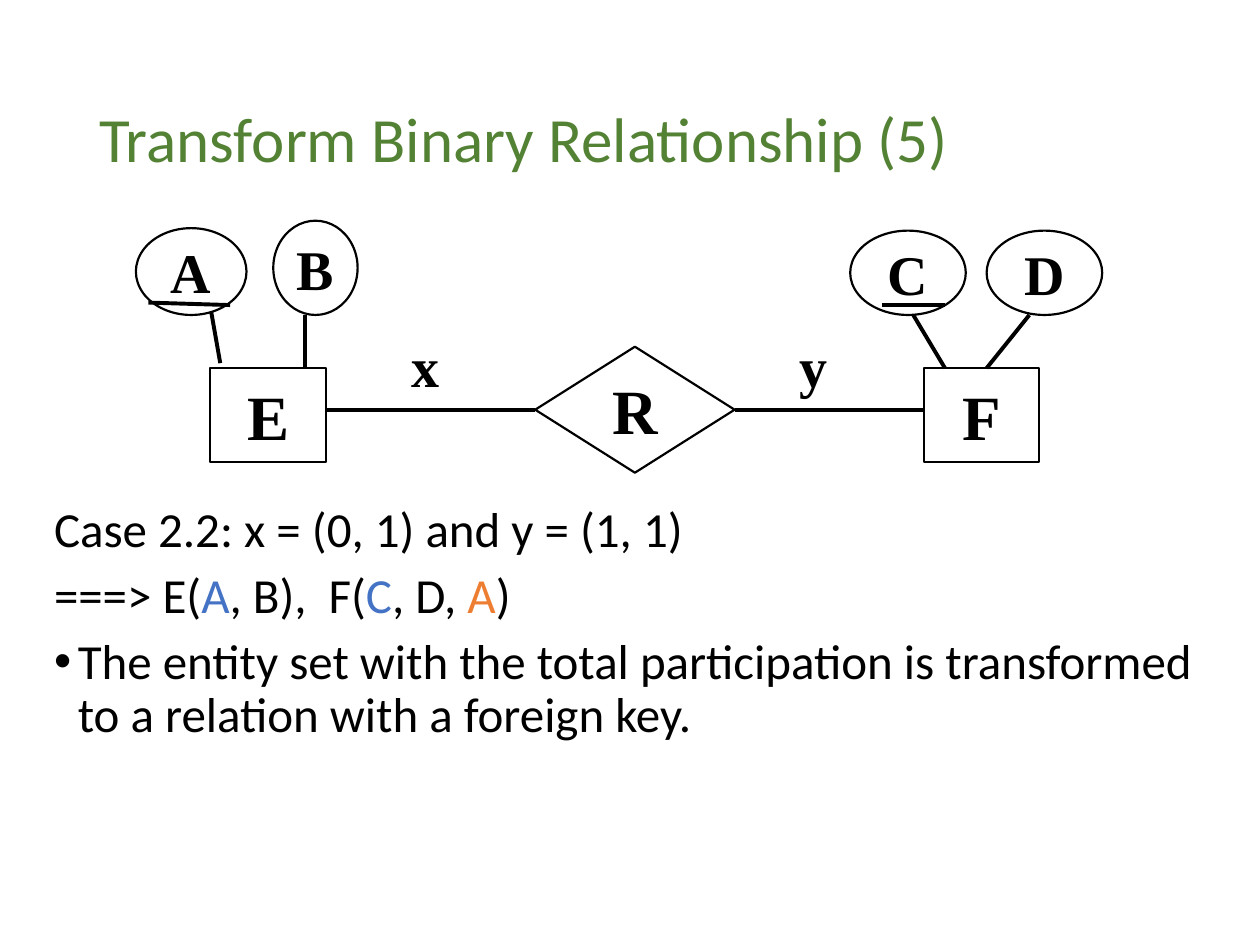
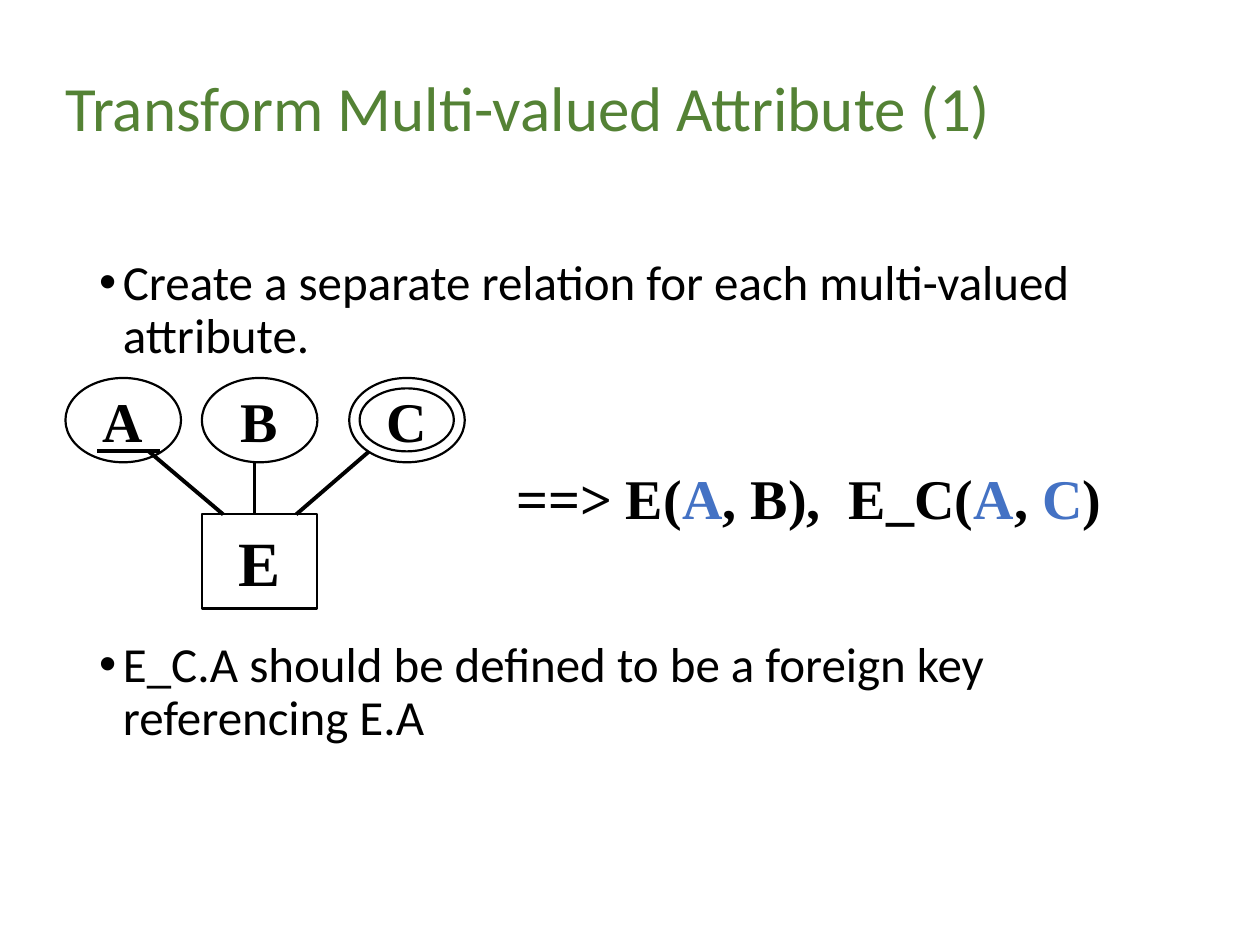
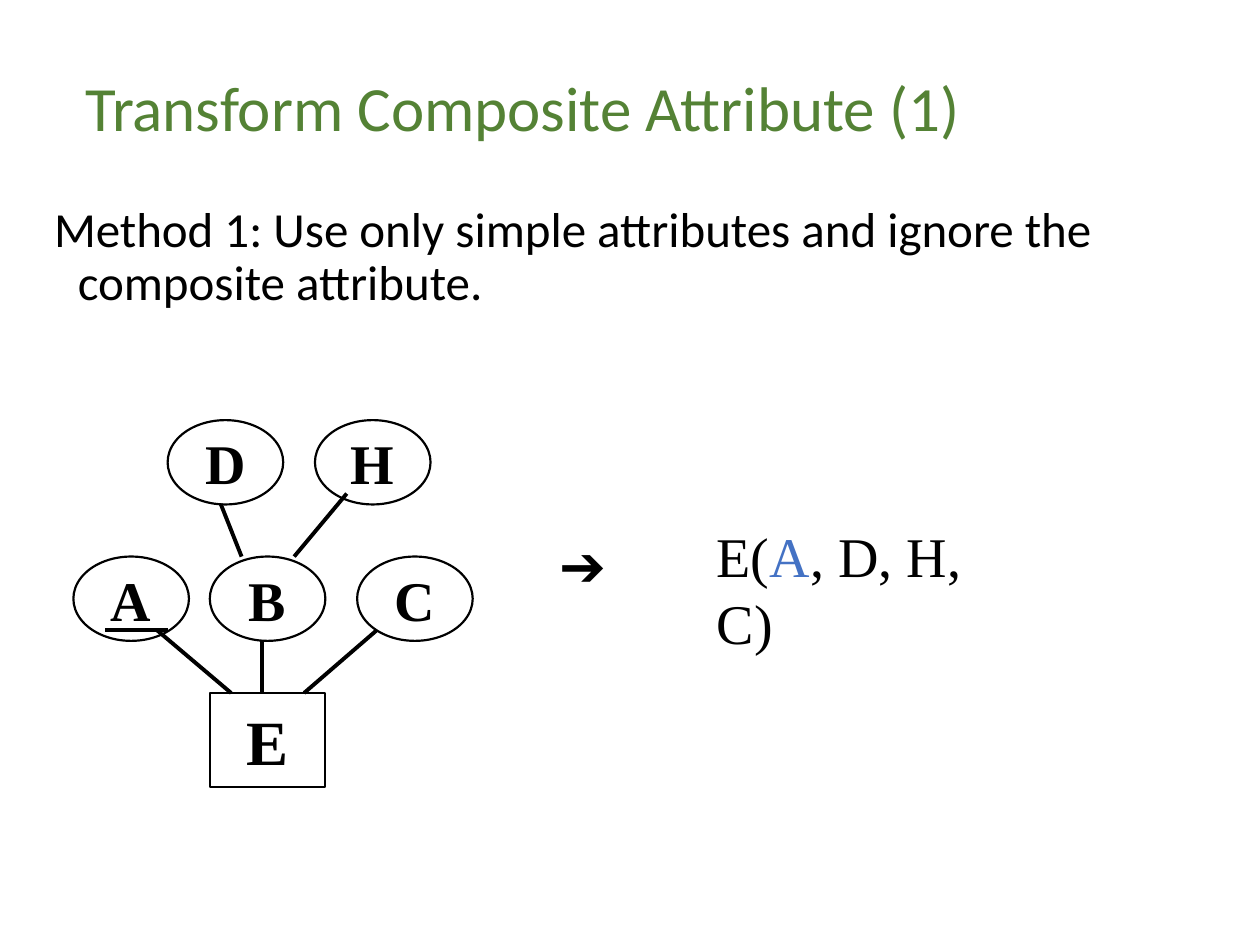
from lxml.etree import SubElement
from pptx import Presentation
from pptx.dml.color import RGBColor
from pptx.enum.shapes import MSO_CONNECTOR, MSO_SHAPE
from pptx.enum.text import MSO_ANCHOR, PP_ALIGN
from pptx.oxml.ns import qn
from pptx.util import Cm, Pt

COLOURS = {"title": "548235", "ink": "000000", "key": "4472C4", "foreign": "ED7D31"}

# Shared text formats
TITLE = {"name": "Calibri", "size": Pt(36), "bold": False}
BODY = {"name": "Calibri", "size": Pt(28), "bold": False}
ATTRIBUTE = {"name": "Times New Roman", "size": Pt(32), "bold": True}
ENTITY = {**ATTRIBUTE, "size": Pt(36)}
RELATION = {**ATTRIBUTE, "bold": False}
ARROW = {"name": "Arial", "size": Pt(32), "bold": False}

# Shared sizes in cm
OVAL = (2.33, 1.7)
ENTITY_BOX = (2.33, 1.9)
HANG = 0.48


def colour(name):
    return RGBColor.from_string(COLOURS[name])


def write(paragraph, parts, style, ink="ink"):
    """Write a string, or a list of strings and (text, colour) pairs."""
    for part in [parts] if isinstance(parts, str) else parts:
        text, tint = (part, ink) if isinstance(part, str) else part
        run = paragraph.add_run()
        run.text = text
        for attribute, value in style.items():
            setattr(run.font, attribute, value)
        run.font.color.rgb = colour(tint)


def text_frame(slide, box, anchor=MSO_ANCHOR.TOP):
    frame = slide.shapes.add_textbox(*map(Cm, box)).text_frame
    frame.word_wrap = True
    frame.vertical_anchor = anchor
    return frame


def add_title(slide, box, title):
    paragraph = text_frame(slide, box, MSO_ANCHOR.MIDDLE).paragraphs[0]
    paragraph.line_spacing = 0.9
    write(paragraph, title, TITLE, "title")


def add_label(slide, box, parts, style):
    write(text_frame(slide, box).paragraphs[0], parts, style)


def add_body(slide, box, statements):
    """Place (parts, bulleted) statements with a hanging indent."""
    frame = text_frame(slide, box)
    for number, (parts, bulleted) in enumerate(statements):
        paragraph = frame.add_paragraph() if number else frame.paragraphs[0]
        paragraph.line_spacing = 0.9
        paragraph.space_before = Pt(7.5)
        properties = paragraph._p.get_or_add_pPr()
        properties.set("marL", str(Cm(HANG)))
        properties.set("indent", str(-Cm(HANG)))
        if bulleted:
            SubElement(properties, qn("a:buFont"), typeface="Arial")
            SubElement(properties, qn("a:buChar"), char="•")
        write(paragraph, parts, BODY)


def add_node(slide, origin, kind, offset, size, name="", style=ATTRIBUTE):
    """Draw an outlined part of the ER diagram with its name centred."""
    left, top = origin[0] + offset[0], origin[1] + offset[1]
    node = slide.shapes.add_shape(kind, *map(Cm, (left, top, *size)))
    node.shadow.inherit = False
    node.fill.background()
    node.line.color.rgb = colour("ink")
    node.line.width = Pt(1.25)
    frame = node.text_frame
    settings = {"word_wrap": False, "vertical_anchor": MSO_ANCHOR.MIDDLE, "margin_left": 0,
                "margin_right": 0, "margin_top": 0, "margin_bottom": 0}
    for attribute, value in settings.items():
        setattr(frame, attribute, value)
    if name:
        frame.paragraphs[0].alignment = PP_ALIGN.CENTER
        write(frame.paragraphs[0], name, style)


def add_links(slide, origin, links):
    """Draw straight lines given as x1, y1, x2, y2 from the origin."""
    for x1, y1, x2, y2 in links:
        ends = (origin[0] + x1, origin[1] + y1, origin[0] + x2, origin[1] + y2)
        link = slide.shapes.add_connector(MSO_CONNECTOR.STRAIGHT, *map(Cm, ends))
        link.line.color.rgb = colour("ink")
        link.line.width = Pt(2.25)
        SubElement(link._element.spPr, qn("a:effectLst"))


def binary_diagram(slide, origin):
    """Entities E and F joined by the relationship R."""
    attributes = [("A", (0, 0.15), (2.23, 1.75)), ("B", (2.77, 0), (1.7, 1.9)),
                  ("C", (14.4, 0.2), OVAL), ("D", (17.15, 0.2), OVAL)]
    for name, offset, size in attributes:
        add_node(slide, origin, MSO_SHAPE.OVAL, offset, size, name)
    for name, x in (("E", 1.5), ("F", 15.88)):
        add_node(slide, origin, MSO_SHAPE.RECTANGLE, (x, 2.97), ENTITY_BOX, name, ENTITY)
    add_node(slide, origin, MSO_SHAPE.DIAMOND, (8.05, 2.54), (4.02, 2.54), "R", ENTITY)
    add_links(slide, origin, [
        (0.25, 1.65, 1.9, 1.7), (15.04, 1.7, 16.31, 1.7),      # key underlines
        (1.7, 2.87, 1.52, 1.85), (3.4, 2.97, 3.4, 1.9),        # attributes of E
        (15.67, 1.9, 16.31, 2.97), (18.01, 1.9, 17.15, 2.97),  # attributes of F
        (3.81, 3.81, 8.05, 3.81), (12.07, 3.81, 15.88, 3.81),  # relationship
    ])
    for cardinality, x in (("x", 5.31), ("y", 13.13)):
        box = (origin[0] + x, origin[1] + 2.11, 1.07, 1.63)
        add_label(slide, box, cardinality, ATTRIBUTE)


def entity_diagram(slide, origin):
    """Entity E below its attributes A (key), B and C."""
    for name, x in (("A", 0), ("B", 2.75), ("C", 5.72)):
        add_node(slide, origin, MSO_SHAPE.OVAL, (x, 0), OVAL, name)
    add_node(slide, origin, MSO_SHAPE.RECTANGLE, (2.75, 2.75), ENTITY_BOX, "E", ENTITY)
    add_links(slide, origin, [
        (0.64, 1.48, 1.9, 1.48),  # key underline
        (1.68, 1.48, 3.18, 2.75), (3.81, 1.7, 3.81, 2.75), (6.12, 1.48, 4.65, 2.75),
    ])


def binary_slide(slide):
    add_title(slide, (1.75, 1.02, 21.92, 3.68), "Transform Binary Relationship (5)")
    binary_diagram(slide, (2.74, 4.45))
    add_body(slide, (0.84, 10.06, 23.7, 5), [
        ("Case 2.2: x = (0, 1) and y = (1, 1)", False),
        (["===> E(", ("A", "key"), ", B),  F(", ("C", "key"), ", D, ", ("A", "foreign"), ")"],
         False),
        ("The entity set with the total participation is transformed "
         "to a relation with a foreign key.", True),
    ])


def multivalued_slide(slide):
    add_title(slide, (1.07, 1.07, 23.5, 2.34), "Transform Multi-valued Attribute (1)")
    statements = [(5.08, "Create a separate relation for each multi-valued attribute."),
                  (12.78, "E_C.A should be defined to be a foreign key referencing E.A")]
    for top, statement in statements:
        add_body(slide, (1.75, top, 21.92, 2.6), [(statement, True)])
    origin = (1.32, 7.62)
    entity_diagram(slide, origin)
    # Inner ring marks C as multi-valued
    add_node(slide, origin, MSO_SHAPE.OVAL, (5.93, 0.21), (1.9, 1.27))
    add_label(slide, (10.16, 9.22, 13.92, 1.63),
              ["==> E(", ("A", "key"), ", B),  E_C(", ("A", "key"), ", ", ("C", "key"), ")"],
              ATTRIBUTE)


def composite_slide(slide):
    add_title(slide, (1.47, 1.07, 22.23, 2.34), "Transform Composite Attribute (1)")
    add_body(slide, (0.84, 4.01, 23.7, 2.6), [
        ("Method 1: Use only simple attributes and ignore the composite attribute.", False)])
    origin = (1.48, 11.22)
    entity_diagram(slide, origin)
    # Simple parts of the composite attribute B
    for name, x in (("D", 1.9), ("H", 4.87)):
        add_node(slide, origin, MSO_SHAPE.OVAL, (x, -2.75), OVAL, name)
    add_links(slide, origin, [(2.97, -1.06, 3.39, 0), (5.51, -1.27, 4.45, 0)])
    # Resulting relation
    add_label(slide, (11.02, 10.57, 2, 1.6), "➔", ARROW)
    add_label(slide, (14.2, 10.39, 6.83, 1.63), ["E(", ("A", "key"), ", D, H, C)"], RELATION)


def main():
    deck = Presentation()
    deck.slide_width, deck.slide_height = Cm(25.4), Cm(19.05)
    for build in (binary_slide, multivalued_slide, composite_slide):
        build(deck.slides.add_slide(deck.slide_layouts[6]))
    deck.save("out.pptx")


if __name__ == "__main__":
    main()
